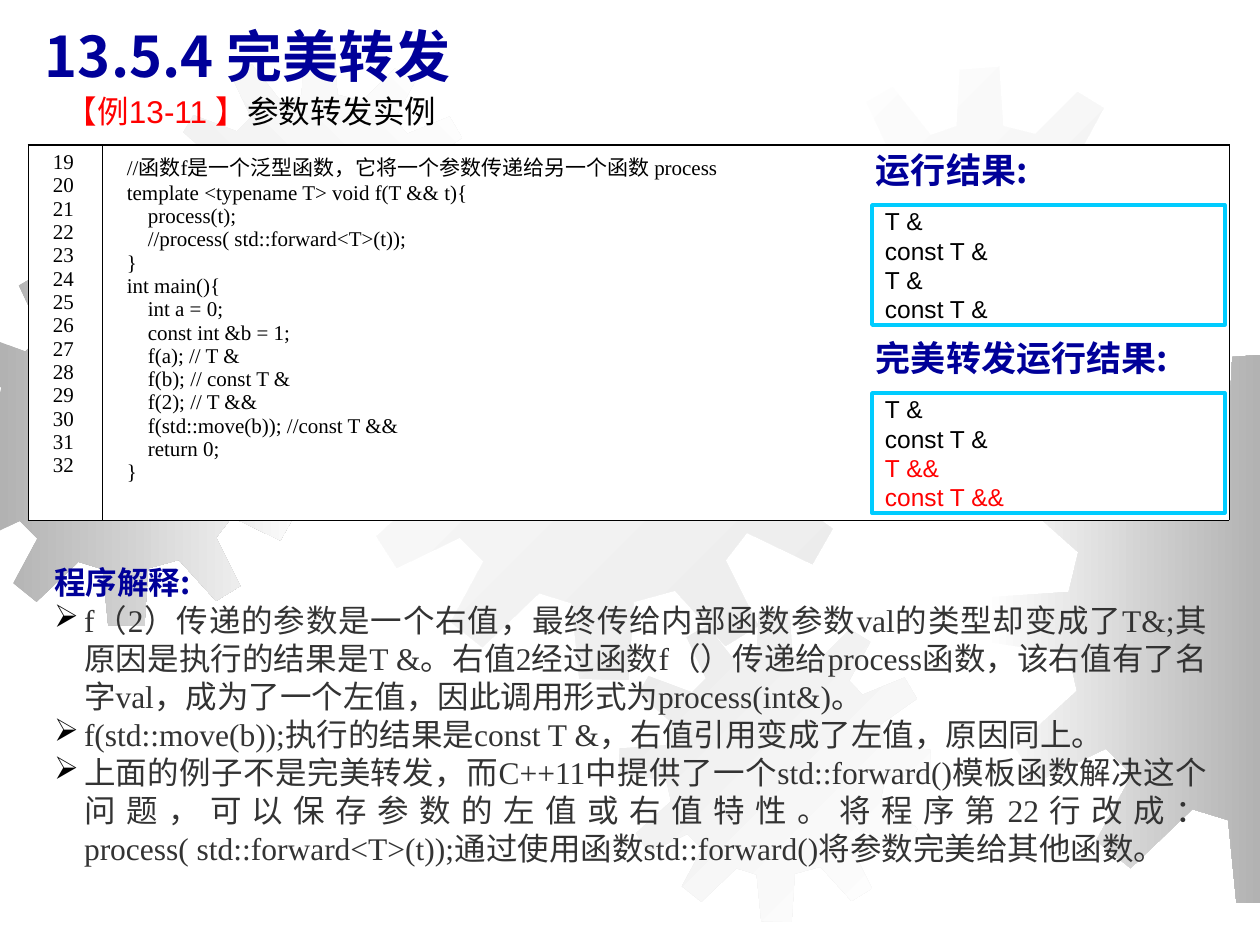
from dataclasses import dataclass

from lxml import etree
from pptx import Presentation
from pptx.dml.color import RGBColor
from pptx.enum import shapes, text
from pptx.oxml import ns
from pptx.util import Emu, Pt

SCALE = 914400 / 126  # EMU in one px
WIDTH, HEIGHT = 1260, 945


@dataclass(frozen=True)
class Theme:
    navy: str = "000099"
    red: str = "FF0000"
    black: str = "000000"
    body: str = "333333"
    cyan: str = "00CCFF"
    white: str = "FFFFFF"
    pale: str = "EAEAEA"
    grey: str = "B2B2B2"
    heading_font: str = "Noto Sans CJK SC"
    sans: str = "Arial"
    serif: str = "Times New Roman"
    title_size: int = 32
    heading_size: int = 20
    body_size: int = 18
    result_size: int = 14
    code_size: int = 12


T = Theme()

# One gear outline on a 401-unit square
GEAR_UNITS = 401
GEAR = [
    (255, 67), (223, 59), (219, 0), (180, 3), (177, 59), (151, 68), (113, 20), (87, 35),
    (112, 88), (94, 106), (38, 85), (25, 107), (68, 145), (61, 174), (1, 178), (0, 210),
    (61, 219), (67, 246), (22, 287), (38, 312), (88, 288), (107, 307), (81, 355), (106, 375),
    (151, 332), (177, 340), (183, 400), (222, 401), (226, 339), (259, 330), (299, 374), (325, 358),
    (299, 306), (316, 284), (368, 309), (384, 281), (336, 246), (342, 216), (401, 210), (400, 180),
    (341, 171), (335, 148), (383, 114), (367, 87), (313, 109), (296, 91), (323, 41), (297, 25),
]

# left, top, size, first colour, last colour, counter-clockwise angle
GEARS = [
    (-62, 253, 373, T.grey, T.white, 0),
    (164, 49, 312, T.pale, T.white, 45),
    (349, 175, 505, T.white, T.pale, 315),
    (0, 662, 471, T.white, None, 0),
    (619, 610, 312, T.pale, T.white, 315),
    (779, 67, 403, T.white, T.pale, 315),
    (985, 353, 551, T.white, T.grey, 0),
]

CODE = """//函数f是一个泛型函数，它将一个参数传递给另一个函数 process
template <typename T> void f(T && t){
    process(t);
    //process( std::forward<T>(t));
}
int main(){
    int a = 0;
    const int &b = 1;
    f(a); // T &
    f(b); // const T &
    f(2); // T &&
    f(std::move(b)); //const T &&
    return 0;
}""".split("\n")

NOTES = [
    "f（2）传递的参数是一个右值，最终传给内部函数参数val的类型却变成了T&;其原因是执行的结果是T &。"
    "右值2经过函数f（）传递给process函数，该右值有了名字val，成为了一个左值，因此调用形式为process(int&)。",
    "f(std::move(b));执行的结果是const T &，右值引用变成了左值，原因同上。",
    "上面的例子不是完美转发，而C++11中提供了一个std::forward()模板函数解决这个问题，"
    "可以保存参数的左值或右值特性。将程序第22行改成：process( std::forward<T>(t));"
    "通过使用函数std::forward()将参数完美给其他函数。",
]


def px(n):
    return Emu(round(n * SCALE))


def rgb(color):
    return RGBColor.from_string(color)


def sub(parent, tag, **attrs):
    return etree.SubElement(parent, ns.qn(tag), attrs)


def style(font, name, size, color, bold=False):
    font.name, font.size, font.bold = name, Pt(size), bold
    font.color.rgb = rgb(color)


def paragraphs(tf, lines):
    for i, line in enumerate(lines):
        p = tf.paragraphs[0] if i == 0 else tf.add_paragraph()
        p.text = line
        yield p


def frame(tf, left=13, top=0, right=13, bottom=0, anchor=text.MSO_ANCHOR.MIDDLE):
    tf.word_wrap = True
    tf.margin_left, tf.margin_top = px(left), px(top)
    tf.margin_right, tf.margin_bottom = px(right), px(bottom)
    tf.vertical_anchor = anchor
    return tf


def text_box(s, box, **margins):
    return frame(s.shapes.add_textbox(*map(px, box)).text_frame, **margins)


def clip(points, axis, limit, sign):
    """Keep the part of a polygon on one side of a slide edge."""
    kept = []
    for a, b in zip(points[-1:] + points[:-1], points):
        a_in, b_in = (sign * (q[axis] - limit) >= 0 for q in (a, b))
        if a_in != b_in:
            t = (limit - a[axis]) / (b[axis] - a[axis])
            kept.append((a[0] + t * (b[0] - a[0]), a[1] + t * (b[1] - a[1])))
        if b_in:
            kept.append(b)
    return kept


def add_gear(s, left, top, size, first, last, angle):
    k = size / GEAR_UNITS
    points = [(left + x * k, top + y * k) for x, y in GEAR]
    for edge in ((0, 0, 1), (0, WIDTH, -1), (1, HEIGHT, -1)):
        points = clip(points, *edge)
    points = [(px(x), px(y)) for x, y in points]
    builder = s.shapes.build_freeform(*points[0])
    builder.add_line_segments(points[1:], close=True)
    sp = builder.convert_to_shape()
    sp.shadow.inherit = False
    sp.line.fill.background()
    if last:
        sp.fill.gradient()
        sp.fill.gradient_angle = angle
        for stop, color in zip(sp.fill.gradient_stops, (first, last)):
            stop.color.rgb = rgb(color)
    else:  # translucent veil
        sp.fill.solid()
        sp.fill.fore_color.rgb = rgb(first)
        sub(sp._element.spPr.find(".//" + ns.qn("a:srgbClr")), "a:alpha", val="50000")


def add_heading(s, box, words, size, left=13):
    p = text_box(s, box, left=left).paragraphs[0]
    p.text = words
    style(p.font, T.heading_font, size, T.navy, True)


def add_example_line(s, box):
    p = text_box(s, box, top=6, anchor=text.MSO_ANCHOR.TOP).paragraphs[0]
    p.line_spacing = Pt(21.7)
    for words, color in (("【例13-11 】", T.red), ("参数转发实例", T.black)):
        r = p.add_run()
        r.text = words
        style(r.font, T.sans, T.body_size, color)


def add_listing(s, box, number_width):
    table = s.shapes.add_table(1, 2, *map(px, box)).table
    table.first_row = table.horz_banding = False
    table.columns[0].width = px(number_width)
    table.columns[1].width = px(box[2] - number_width)
    numbers = [str(19 + i) for i in range(len(CODE))]
    for cell, lines in zip(table.rows[0].cells, (numbers, CODE)):
        cell.margin_left, cell.margin_right = px(25), px(23)
        cell.margin_top = cell.margin_bottom = px(6)
        for p in paragraphs(cell.text_frame, lines):
            style(p.font, T.serif, T.code_size, T.black)
        tc_pr = cell._tc.get_or_add_tcPr()
        for side, points in (("L", 0.34), ("R", 0.34), ("T", 1.08), ("B", 0.45)):
            ln = sub(tc_pr, f"a:ln{side}", w=str(Pt(points)))
            sub(sub(ln, "a:solidFill"), "a:srgbClr", val=T.black)
        cell.fill.solid()
        cell.fill.fore_color.rgb = rgb(T.white)


def add_result(s, box, heading, lines):
    left, top, width, height = box
    add_heading(s, (left, top, width, 49), heading, T.heading_size)
    sp = s.shapes.add_shape(shapes.MSO_SHAPE.RECTANGLE, *map(px, (left + 9, top + 60, width, height - 60)))
    sp.shadow.inherit = False
    sp.fill.background()
    sp.line.color.rgb, sp.line.width = rgb(T.cyan), Pt(2)
    for p in paragraphs(frame(sp.text_frame), lines):
        p.alignment = text.PP_ALIGN.LEFT
        p.line_spacing = Pt(16.75)
        style(p.font, T.sans, T.result_size, T.red if "&&" in p.text else T.black)


def add_explanation(s, box):
    tf = text_box(s, box, left=25, right=23)
    for i, p in enumerate(paragraphs(tf, ["程序解释:"] + NOTES)):
        p.alignment = text.PP_ALIGN.JUSTIFY
        p.line_spacing = Pt(21.7)
        if i == 0:
            style(p.font, T.heading_font, T.body_size, T.navy, True)
            continue
        p_pr = p._p.get_or_add_pPr()
        p_pr.set("marL", str(px(30)))
        p_pr.set("indent", str(-px(30)))
        sub(sub(p_pr, "a:buClr"), "a:srgbClr", val=T.black)
        sub(p_pr, "a:buChar", char="➢")
        style(p.font, T.serif, T.body_size, T.body)


def main():
    prs = Presentation()
    prs.slide_width, prs.slide_height = px(WIDTH), px(HEIGHT)
    s = prs.slides.add_slide(prs.slide_layouts[6])
    # Background gears
    for gear in GEARS:
        add_gear(s, *gear)
    # Title and example name
    add_heading(s, (20, 11, 1172, 89), "13.5.4 完美转发", T.title_size, left=25)
    add_example_line(s, (53, 86, 437, 50))
    # Code with its two results
    add_listing(s, (28, 145, 1201, 375), 74)
    add_result(s, (863, 145, 353, 180), "运行结果:", ["T &", "const T &"] * 2)
    add_result(s, (863, 333, 353, 180), "完美转发运行结果:", ["T &", "const T &", "T &&", "const T &&"])
    # Explanation
    add_explanation(s, (29, 552, 1201, 325))
    prs.save("out.pptx")


if __name__ == "__main__":
    main()
